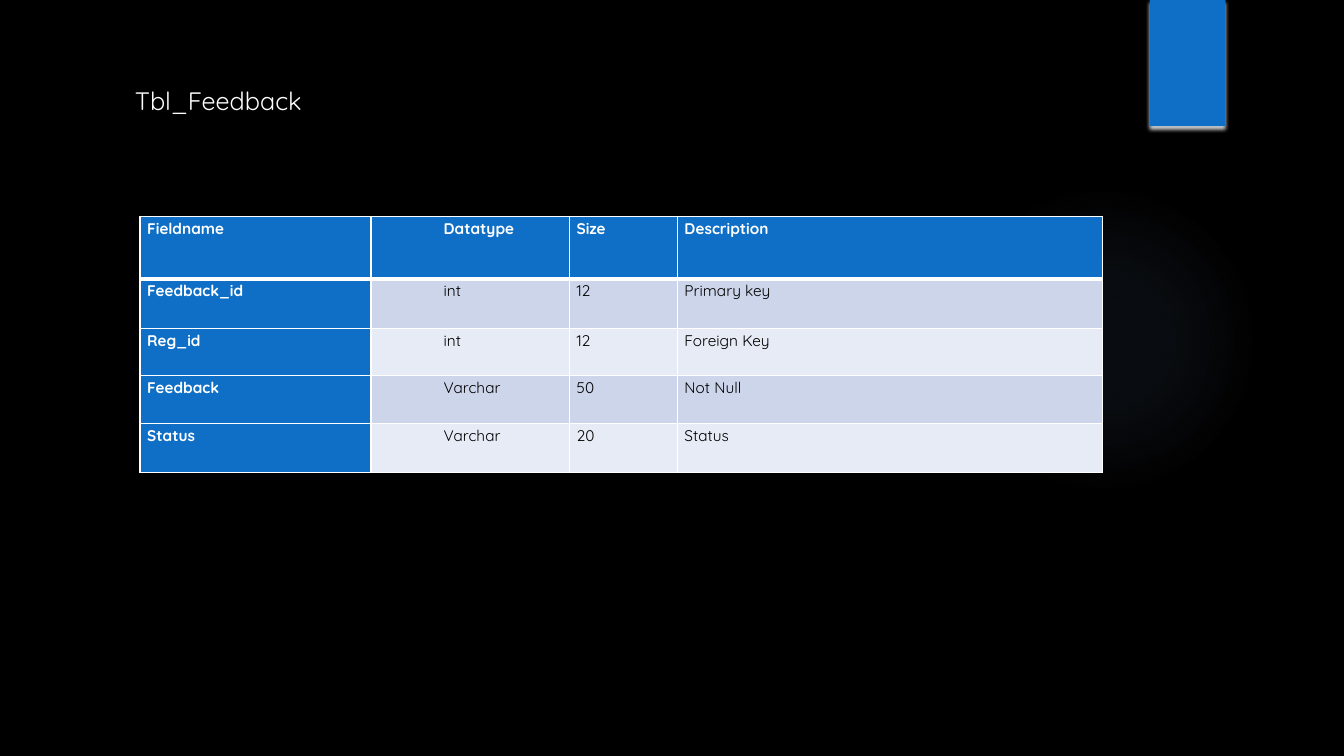
"""Build a slide describing the feedback database table."""
from pptx import Presentation
from pptx.dml.color import RGBColor
from pptx.enum.shapes import MSO_SHAPE
from pptx.enum.text import MSO_AUTO_SIZE
from pptx.oxml import parse_xml
from pptx.oxml.ns import nsdecls
from pptx.util import Cm, Pt

TITLE = "Tbl_Feedback"
ROWS = [
    ("Fieldname", "Datatype", "Size", "Description"),
    ("Feedback_id", "int", "12", "Primary key"),
    ("Reg_id", "int", "12", "Foreign Key"),
    ("Feedback", "Varchar", "50", "Not Null"),
    ("Status", "Varchar", "20", "Status"),
]
COLUMN_WIDTHS = [5.82, 5, 2.72, 10.72]
ROW_HEIGHTS = [1.57, 1.24, 1.19, 1.22, 1.22]
DATATYPE_COLUMN = 1
DATATYPE_INDENT = Cm(1.65)
GLOW_STOPS = [(0, 7), (36, 6), (69, 0)]

FONT = "Quicksand"
BLACK = RGBColor(0x00, 0x00, 0x00)
WHITE = RGBColor(0xFF, 0xFF, 0xFF)
BLUE = RGBColor(0x0F, 0x6F, 0xC6)
GLOW_BLUE = RGBColor(0x82, 0xB1, 0xE5)
BANDS = [RGBColor(0xE7, 0xEB, 0xF5), RGBColor(0xCC, 0xD5, 0xEA)]


def format_text(paragraph, size, color, bold=False):
    for run in paragraph.runs:
        run.font.name = FONT
        run.font.size = Pt(size)
        run.font.bold = bold
        run.font.color.rgb = color


def add_plain_shape(slide, kind, left, top, width, height):
    shape = slide.shapes.add_shape(kind, Cm(left), Cm(top), Cm(width), Cm(height))
    shape.shadow.inherit = False
    shape.line.fill.background()
    return shape


def add_glow(slide):
    glow = add_plain_shape(slide, MSO_SHAPE.OVAL, 23.9, 4.65, 7.82, 7.82)
    stops = "".join(
        f'<a:gs pos="{position * 1000}"><a:srgbClr val="{GLOW_BLUE}">'
        f'<a:alpha val="{alpha * 1000}"/></a:srgbClr></a:gs>'
        for position, alpha in GLOW_STOPS
    )
    glow._element.spPr.insert(2, parse_xml(
        f'<a:gradFill {nsdecls("a")}><a:gsLst>{stops}</a:gsLst><a:path path="circle">'
        '<a:fillToRect l="50000" t="50000" r="50000" b="50000"/></a:path></a:gradFill>'
    ))


def add_ribbon(slide):
    ribbon = add_plain_shape(slide, MSO_SHAPE.RECTANGLE, 28.98, 0, 1.9, 3.18)
    ribbon.fill.solid()
    ribbon.fill.fore_color.rgb = BLUE
    effects = ribbon._element.spPr.find(
        "{http://schemas.openxmlformats.org/drawingml/2006/main}effectLst")
    effects.append(parse_xml(
        f'<a:outerShdw {nsdecls("a")} blurRad="{Pt(3.1)}" dist="{Pt(2)}" dir="5400000" '
        f'rotWithShape="0"><a:srgbClr val="{WHITE}"><a:alpha val="83000"/></a:srgbClr>'
        '</a:outerShdw>'
    ))


def set_borders(cell, row):
    widths = {"L": 1, "R": 1, "T": 3 if row == 1 else 1, "B": 3 if row == 0 else 1}
    for side, width in widths.items():
        cell._tc.get_or_add_tcPr().append(parse_xml(
            f'<a:ln{side} {nsdecls("a")} w="{Pt(width)}"><a:solidFill>'
            f'<a:srgbClr val="{WHITE}"/></a:solidFill></a:ln{side}>'
        ))


def fill_cell(cell, text, row, column):
    heading = row == 0 or column == 0
    cell.margin_left, cell.margin_right = Cm(0.18), Cm(0.2)
    cell.margin_top, cell.margin_bottom = Cm(0.03), 0
    set_borders(cell, row)
    cell.fill.solid()
    cell.fill.fore_color.rgb = BLUE if heading else BANDS[row % 2]
    paragraph = cell.text_frame.paragraphs[0]
    paragraph.text = text
    paragraph.line_spacing = 1.07
    paragraph.space_after = Pt(0.2)
    if column == DATATYPE_COLUMN:
        properties = paragraph._p.get_or_add_pPr()
        properties.set("marL", str(DATATYPE_INDENT))
        properties.set("indent", "0")
    format_text(paragraph, 11, WHITE if heading else BLACK, heading)


def add_field_table(slide):
    table = slide.shapes.add_table(
        len(ROWS), len(COLUMN_WIDTHS), Cm(3.53), Cm(5.46),
        Cm(sum(COLUMN_WIDTHS)), Cm(sum(ROW_HEIGHTS))).table
    for column, width in zip(table.columns, COLUMN_WIDTHS):
        column.width = Cm(width)
    for row, height in zip(table.rows, ROW_HEIGHTS):
        row.height = Cm(height)
    for row, texts in enumerate(ROWS):
        for column, text in enumerate(texts):
            fill_cell(table.cell(row, column), text, row, column)


def add_title(slide):
    title = slide.shapes.add_textbox(Cm(3.15), Cm(2.03), Cm(4.88), Cm(1.02))
    title.text_frame.text = TITLE
    title.text_frame.word_wrap = False
    title.text_frame.auto_size = MSO_AUTO_SIZE.SHAPE_TO_FIT_TEXT
    format_text(title.text_frame.paragraphs[0], 18, WHITE)


def main():
    presentation = Presentation()
    presentation.slide_width, presentation.slide_height = Cm(33.87), Cm(19.05)
    slide = presentation.slides.add_slide(presentation.slide_layouts[6])
    slide.background.fill.solid()
    slide.background.fill.fore_color.rgb = BLACK
    add_glow(slide)
    add_ribbon(slide)
    add_field_table(slide)
    add_title(slide)
    presentation.save("out.pptx")


if __name__ == "__main__":
    main()
